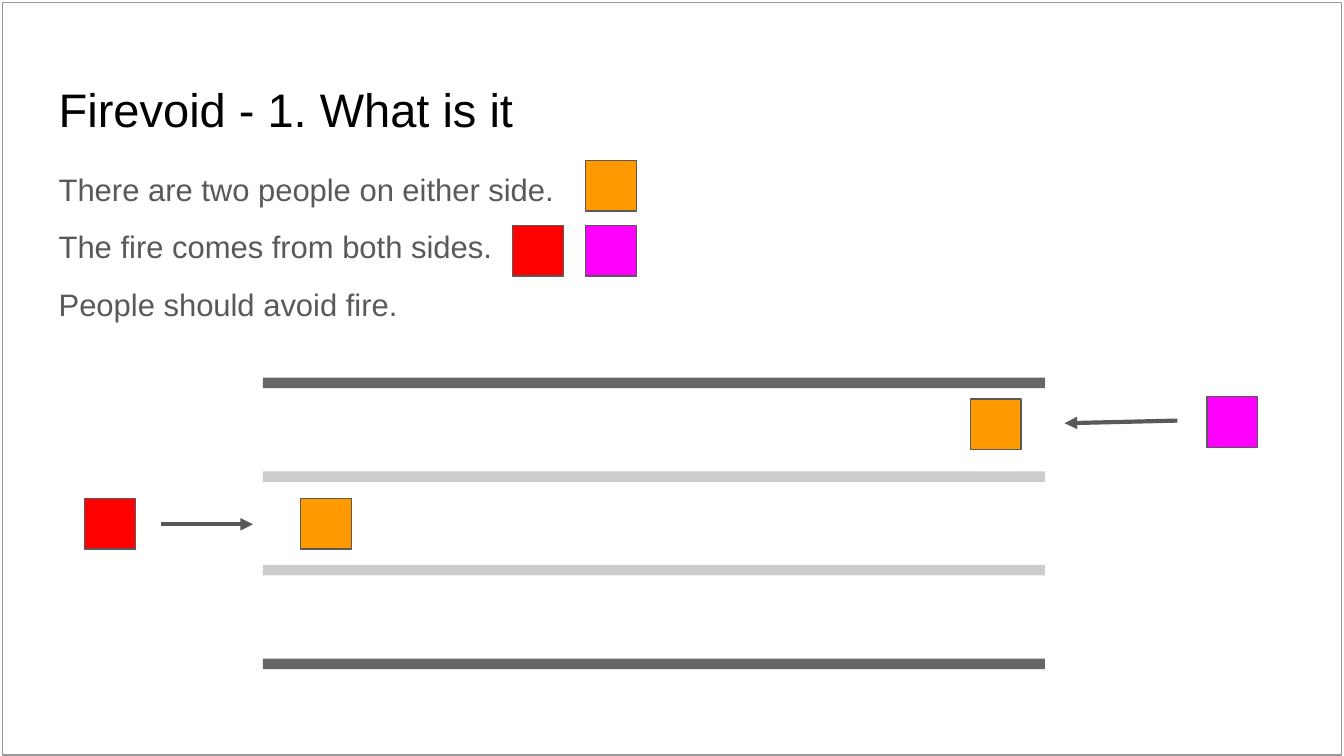
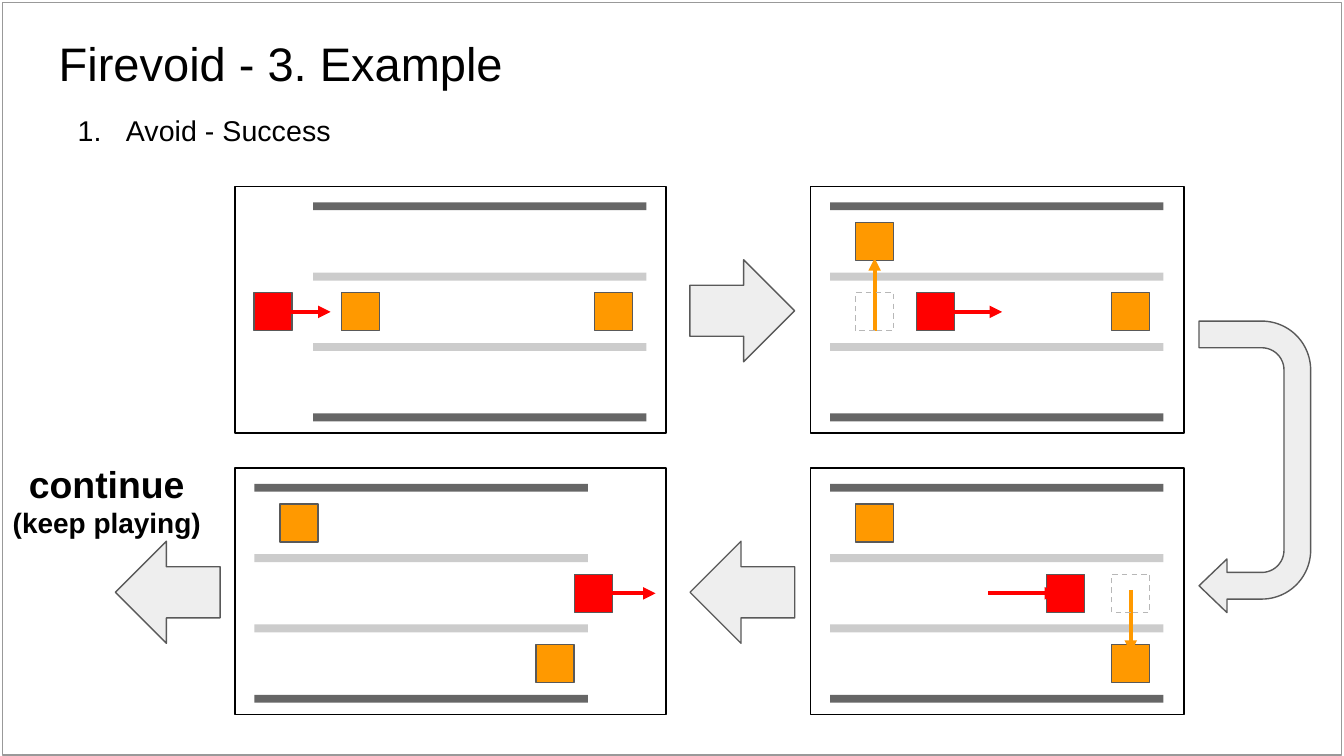
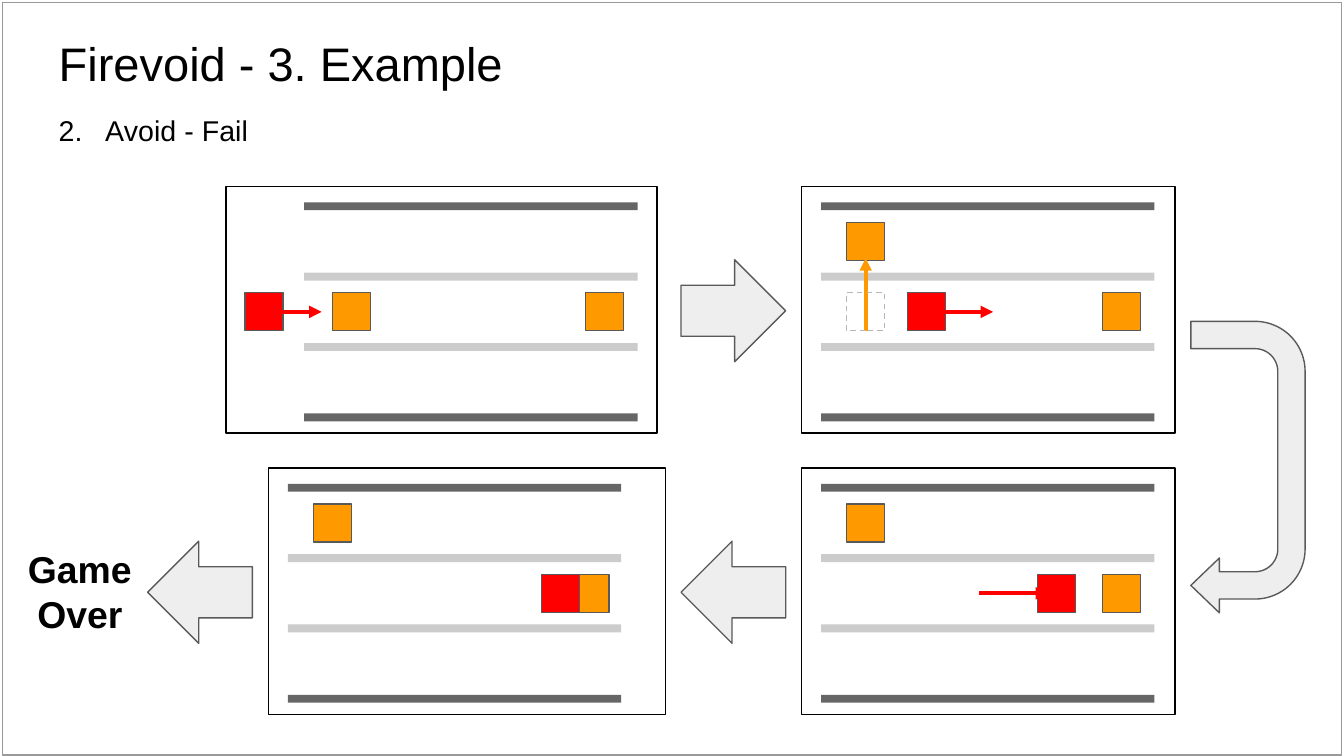
from dataclasses import dataclass

from lxml import etree
from pptx import Presentation
from pptx.dml.color import RGBColor
from pptx.enum.dml import MSO_LINE
from pptx.enum.shapes import MSO_CONNECTOR, MSO_SHAPE
from pptx.enum.text import MSO_ANCHOR, PP_ALIGN
from pptx.oxml.ns import qn
from pptx.util import Cm, Pt

RECT = MSO_SHAPE.RECTANGLE
RIGHT_ARROW = MSO_SHAPE.RIGHT_ARROW
UTURN_ARROW = MSO_SHAPE.U_TURN_ARROW
STRAIGHT = MSO_CONNECTOR.STRAIGHT
DASH = MSO_LINE.DASH
TOP, BOTTOM = MSO_ANCHOR.TOP, MSO_ANCHOR.BOTTOM
LEFT, CENTER = PP_ALIGN.LEFT, PP_ALIGN.CENTER


@dataclass(frozen=True)
class Theme:
    font: str = "Arial"
    ink: str = "000000"
    body: str = "595959"
    paper: str = "FFFFFF"
    frame: str = "999999"
    wall: str = "666666"
    divider: str = "CCCCCC"
    person: str = "FF9900"
    fire: str = "FF0000"
    other_fire: str = "FF00FF"
    ghost: str = "B7B7B7"
    flow: str = "EEEEEE"
    title_size: float = 25.2
    intro_size: float = 16.6
    step_size: float = 15.3
    outcome_size: float = 20
    remark_size: float = 15
    thin: float = 0.75
    thick: float = 2.25


THEME = Theme()

INTRO = {
    "title": "Firevoid - 1. What is it",
    "lines": [
        "There are two people on either side.",
        "The fire comes from both sides.",
        "People should avoid fire.",
    ],
    "squares": [
        (11.07, 3.03, THEME.person),
        (9.69, 4.26, THEME.fire),
        (11.07, 4.26, THEME.other_fire),
        (18.34, 7.54, THEME.person),
        (5.68, 9.42, THEME.person),
        (1.6, 9.42, THEME.fire),
        (22.81, 7.5, THEME.other_fire),
    ],
    "arrows": [(3.05, 9.91, 4.78, 9.91), (22.25, 7.95, 20.12, 8)],
}

NEAR, FAR = 0.48, 5.32
APPROACH = {
    "people": [(FAR, 1), (0.53, 1)], "fire": -1.12, "fire_path": -0.97,
}
FIRST_DODGE = {
    "people": [(FAR, 1), (NEAR, 0)], "fire": 1.63, "fire_path": 1.95,
    "dodge": (NEAR, 2.72, 1.35),
}
SECOND_DODGE = {
    "people": [(FAR, 2), (NEAR, 0)], "fire": 4.09, "fire_path": 2.99,
    "dodge": (FAR, 2.3, 3.49),
}
NO_DODGE = {
    "people": [(FAR, 1), (NEAR, 0)], "fire": 4.09, "fire_path": 2.99,
}
FIRE_LEAVES = {
    "people": [(FAR, 2), (NEAR, 0)], "fire": 6.05, "fire_path": 6.28,
}
FIRE_HITS = {"people": [(5.35, 1), (NEAR, 0)], "fire": 4.79}

EXAMPLES = [
    {
        "title": "Firevoid - 3. Example",
        "step": "Avoid - Success", "number": 1, "indent": (1.27, 0.91),
        "shift": 0, "scenes": [APPROACH, FIRST_DODGE, SECOND_DODGE, FIRE_LEAVES],
        "last_panel": (4.44, 8.15),
        "turn": (20.96, 7.77, 5.51, 2.11),
        "exit": 2.18,
        "outcome": [("continue", THEME.outcome_size), ("(keep playing)", THEME.remark_size)],
        "outcome_box": (-0.1, 8.46, 4.24, 2.01),
    },
    {
        "title": "Firevoid - 3. Example",
        "step": "Avoid - Fail", "number": 2, "indent": (0.88, 0.88),
        "shift": -0.17, "scenes": [APPROACH, FIRST_DODGE, NO_DODGE, FIRE_HITS],
        "last_panel": (5.07, 7.51),
        "turn": (20.83, 7.75, 5.51, 2.16),
        "exit": 2.79,
        "outcome": [("Game", THEME.outcome_size), ("Over", THEME.outcome_size)],
        "outcome_box": (0, 10.08, 3.02, 2.24),
    },
]

MARGIN, TEXT_WIDTH = 0.86, 23.67
ROW_TOPS = (3.53, 8.85)
PANEL_HEIGHT = 4.66
LANE_INSET, FIRST_LANE_INSET = 0.37, 1.48
LANE_PITCH, LANE_LENGTH, LANE_THICKNESS = 1.33, 6.3, 0.15
BIG_SQUARE, SMALL_SQUARE = 0.96, 0.72
FIRE_REACH = 1.3
FLOW_X, FLOW_SIZE, FLOW_OFFSET = 13.04, (1.98, 1.93), 1.38
TURN_ADJUSTMENTS = (0.239, 0.24, 0.25, 0.438, 1)


def rgb(color):
    return RGBColor.from_string(color)


def add_block(slide, box, fill=None, line=None, kind=RECT, dash=None, rotation=0):
    block = slide.shapes.add_shape(kind, *map(Cm, box))
    block.shadow.inherit = False
    block.rotation = rotation
    if fill:
        block.fill.solid()
        block.fill.fore_color.rgb = rgb(fill)
    else:
        block.fill.background()
    if line:
        block.line.color.rgb = rgb(line)
        block.line.width = Pt(THEME.thin)
        if dash:
            block.line.dash_style = dash
    else:
        block.line.fill.background()
    return block


def add_square(slide, x, y, size, color):
    add_block(slide, (x, y, size, size), color, THEME.body)


def add_arrow(slide, ends, color):
    arrow = slide.shapes.add_connector(STRAIGHT, *map(Cm, ends))
    arrow.line.color.rgb = rgb(color)
    arrow.line.width = Pt(THEME.thick)
    properties = arrow.element.spPr
    outline = properties.find(qn("a:ln"))
    etree.SubElement(outline, qn("a:tailEnd"), type="triangle")
    etree.SubElement(properties, qn("a:effectLst"))


def add_text(slide, box, lines, color=THEME.ink, bold=False, align=LEFT, anchor=TOP,
             spacing=1.0, gap=0, number=None, indent=(0, 0)):
    area = slide.shapes.add_textbox(*map(Cm, box))
    frame = area.text_frame
    frame.word_wrap = True
    frame.vertical_anchor = anchor
    frame.margin_left = frame.margin_right = Cm(0.25)
    frame.margin_top = frame.margin_bottom = Cm(0.25)
    for index, (words, size) in enumerate(lines):
        paragraph = frame.add_paragraph() if index else frame.paragraphs[0]
        paragraph.alignment = align
        paragraph.line_spacing = spacing
        if index:
            paragraph.space_before = Pt(gap)
        if number:
            margin, hanging = indent
            properties = paragraph._p.get_or_add_pPr()
            properties.set("marL", str(Cm(margin)))
            properties.set("indent", str(-Cm(hanging)))
            etree.SubElement(properties, qn("a:buFont"), typeface=THEME.font)
            etree.SubElement(properties, qn("a:buAutoNum"),
                             type="arabicPeriod", startAt=str(number))
        run = paragraph.add_run()
        run.text = words
        run.font.name = THEME.font
        run.font.size = Pt(size)
        run.font.bold = bold
        run.font.color.rgb = rgb(color)


def start_slide(deck, title, title_top):
    slide = deck.slides.add_slide(deck.slide_layouts[6])
    add_block(slide, (0.05, 0.05, 25.3, 14.22), THEME.paper, THEME.frame)
    add_text(slide, (MARGIN, title_top, TEXT_WIDTH, 1.6),
             [(title, THEME.title_size)], anchor=BOTTOM)
    return slide


def add_lanes(slide, left, first_center, pitch, length, thickness):
    for index, color in enumerate((THEME.wall, THEME.divider, THEME.divider, THEME.wall)):
        top = first_center + index * pitch - thickness / 2
        add_block(slide, (left, top, length, thickness), color)


def add_scene(slide, left, top, width, lane_inset, scene):
    add_block(slide, (left, top, width, PANEL_HEIGHT), line=THEME.ink)
    lane_left, first_center = left + lane_inset, top + LANE_INSET
    add_lanes(slide, lane_left, first_center, LANE_PITCH, LANE_LENGTH, LANE_THICKNESS)

    def lane_center(lane):
        return first_center + (lane + 0.5) * LANE_PITCH

    def square_top(lane):
        return lane_center(lane) - SMALL_SQUARE / 2

    for x, lane in scene["people"]:
        add_square(slide, lane_left + x, square_top(lane), SMALL_SQUARE, THEME.person)
    add_square(slide, lane_left + scene["fire"], square_top(1), SMALL_SQUARE, THEME.fire)
    if "fire_path" in scene:
        start, y = lane_left + scene["fire_path"], lane_center(1)
        add_arrow(slide, (start, y, start + FIRE_REACH, y), THEME.fire)
    if "dodge" in scene:
        x, begin, end = scene["dodge"]
        center = lane_left + x + SMALL_SQUARE / 2
        add_arrow(slide, (center, top + begin, center, top + end), THEME.person)
        add_block(slide, (lane_left + x, square_top(1), SMALL_SQUARE, SMALL_SQUARE),
                  line=THEME.ghost, dash=DASH)


def add_flow(slide, x, row, rotation=0):
    add_block(slide, (x, ROW_TOPS[row] + FLOW_OFFSET, *FLOW_SIZE), THEME.flow,
              THEME.body, RIGHT_ARROW, rotation=rotation)


def build_intro(deck):
    slide = start_slide(deck, INTRO["title"], 1.24)
    add_text(slide, (MARGIN, 3.02, TEXT_WIDTH, 3.5),
             [(line, THEME.intro_size) for line in INTRO["lines"]],
             color=THEME.body, spacing=0.95, gap=12)
    add_lanes(slide, 4.97, 7.24, 1.77, 14.78, 0.2)
    for x, y, color in INTRO["squares"]:
        add_square(slide, x, y, BIG_SQUARE, color)
    for ends in INTRO["arrows"]:
        add_arrow(slide, ends, THEME.body)


def build_example(deck, example):
    slide = start_slide(deck, example["title"], 0.37)
    add_text(slide, (MARGIN, 1.93, TEXT_WIDTH, 1.17),
             [(example["step"], THEME.step_size)], spacing=0.95,
             number=example["number"], indent=example["indent"])
    shift = example["shift"]
    right = (15.32 + shift, 7.06)
    last_left, last_width = example["last_panel"]
    panels = [
        (4.44 + shift, 8.15, 0, FIRST_LANE_INSET),
        (*right, 0, LANE_INSET),
        (*right, 1, LANE_INSET),
        (last_left, last_width, 1, LANE_INSET),
    ]
    for (left, width, row, inset), scene in zip(panels, example["scenes"]):
        add_scene(slide, left, ROW_TOPS[row], width, inset, scene)
    add_flow(slide, FLOW_X + shift, 0)
    add_flow(slide, FLOW_X + shift, 1, rotation=180)
    add_flow(slide, example["exit"], 1, rotation=180)
    turn = add_block(slide, example["turn"], THEME.flow, THEME.body, UTURN_ARROW, rotation=90)
    for index, value in enumerate(TURN_ADJUSTMENTS):
        turn.adjustments[index] = value
    add_text(slide, example["outcome_box"], example["outcome"], bold=True, align=CENTER)


def main():
    deck = Presentation()
    deck.slide_width, deck.slide_height = Cm(25.4), Cm(14.29)
    build_intro(deck)
    for example in EXAMPLES:
        build_example(deck, example)
    deck.save("out.pptx")


if __name__ == "__main__":
    main()
